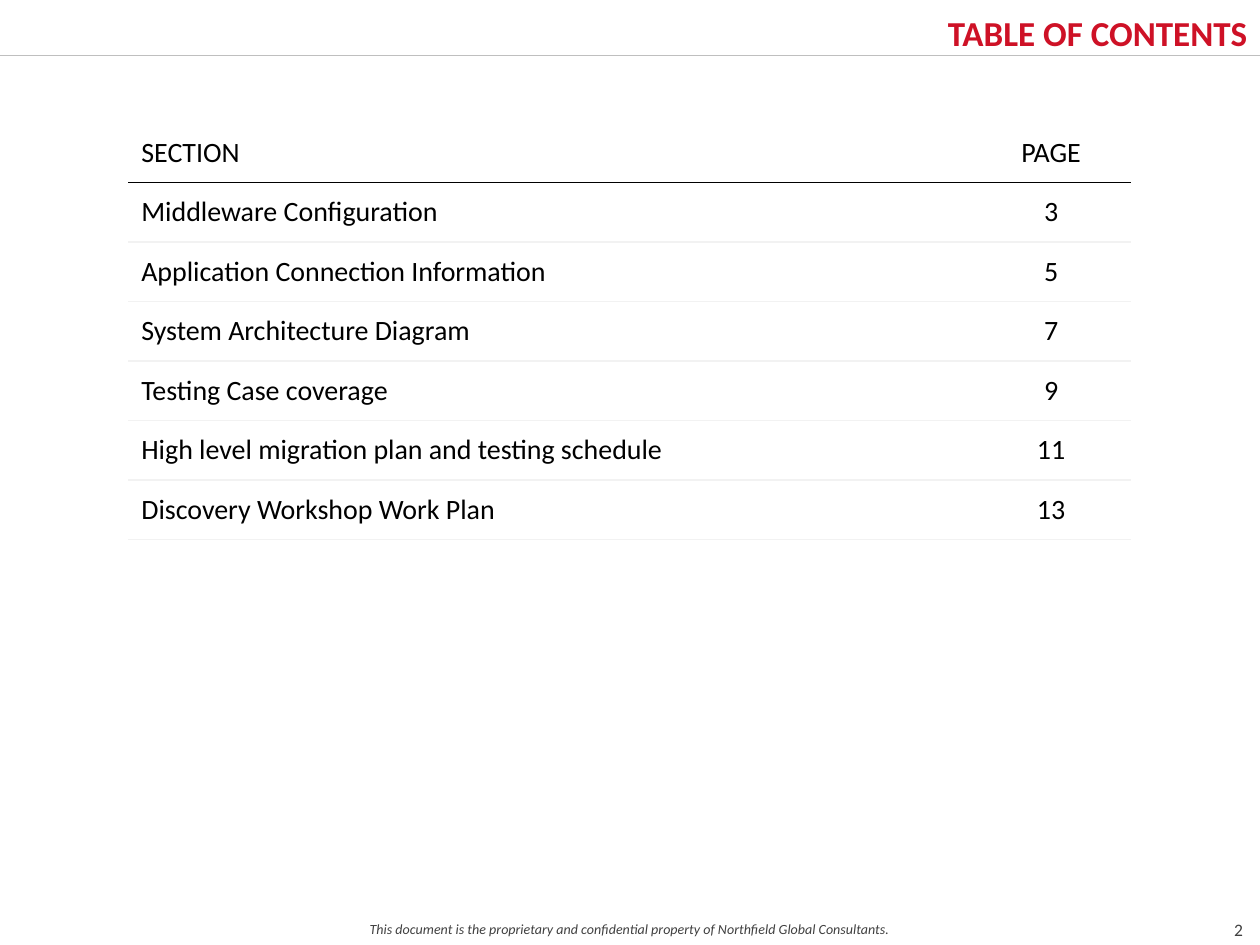
from dataclasses import dataclass

from lxml.etree import SubElement
from pptx import Presentation
from pptx.dml.color import RGBColor
from pptx.enum.shapes import MSO_CONNECTOR
from pptx.enum.text import MSO_ANCHOR, PP_ALIGN
from pptx.oxml.ns import qn
from pptx.util import Pt

BLACK = RGBColor(0x00, 0x00, 0x00)
RED = RGBColor(0xCE, 0x11, 0x26)
DARK_GRAY = RGBColor(0x40, 0x40, 0x40)
RULE_GRAY = RGBColor(0xBF, 0xBF, 0xBF)
LIGHT_GRAY = RGBColor(0xF2, 0xF2, 0xF2)

FONT = "Calibri"
ROW_HEIGHT = 34
COLUMN_WIDTHS = (481.7, 90.7)


@dataclass(frozen=True)
class TextStyle:
    size: float
    color: RGBColor
    align: PP_ALIGN = PP_ALIGN.LEFT
    bold: bool = False
    italic: bool = False


@dataclass(frozen=True)
class Box:
    left: float
    top: float
    width: float
    height: float

    def lengths(self) -> tuple:
        return Pt(self.left), Pt(self.top), Pt(self.width), Pt(self.height)


@dataclass(frozen=True)
class Entry:
    section: str
    page: str


ENTRIES = (
    Entry("SECTION", "PAGE"),
    Entry("Middleware Configuration", "3"),
    Entry("Application Connection Information", "5"),
    Entry("System Architecture Diagram", "7"),
    Entry("Testing Case coverage", "9"),
    Entry("High level migration plan and testing schedule", "11"),
    Entry("Discovery Workshop Work Plan", "13"),
)


def write(frame, text: str, style: TextStyle) -> None:
    para = frame.paragraphs[0]
    para.alignment = style.align
    span = para.add_run()
    span.text = text
    font = span.font
    font.name = FONT
    font.size = Pt(style.size)
    font.bold = style.bold
    font.italic = style.italic
    font.color.rgb = style.color


def set_insets(frame, left: float, top: float, right: float, bottom: float) -> None:
    frame.margin_left, frame.margin_top = Pt(left), Pt(top)
    frame.margin_right, frame.margin_bottom = Pt(right), Pt(bottom)


def add_title(page, text: str) -> None:
    title = page.shapes.title
    title.left, title.top, title.width, title.height = Box(288.7, 1.4, 431.3, 30.2).lengths()
    frame = title.text_frame
    frame.vertical_anchor = MSO_ANCHOR.TOP
    set_insets(frame, 0, 5, 7.2, 5)
    write(frame, text, TextStyle(20, RED, PP_ALIGN.RIGHT, bold=True))


def add_text(page, box: Box, text: str, style: TextStyle, anchor: MSO_ANCHOR) -> None:
    frame = page.shapes.add_textbox(*box.lengths()).text_frame
    frame.word_wrap = True
    frame.vertical_anchor = anchor
    set_insets(frame, 7.9, 3.6, 7.9, 3.6)
    write(frame, text, style)


def add_rule(page, top: float) -> None:
    rule = page.shapes.add_connector(MSO_CONNECTOR.STRAIGHT, 0, Pt(top), Pt(720), Pt(top))
    rule.line.color.rgb = RULE_GRAY
    rule.line.width = Pt(0.5)
    SubElement(rule.element.spPr, qn("a:effectLst"))


def add_border(cell, side: str, color: RGBColor) -> None:
    border = SubElement(cell._tc.get_or_add_tcPr(), qn(f"a:{side}"), w=str(Pt(1)))
    fill = SubElement(border, qn("a:solidFill"))
    SubElement(fill, qn("a:srgbClr"), val=str(color))


def add_contents(page, entries: tuple[Entry, ...]) -> None:
    box = Box(73.6, 70.4, sum(COLUMN_WIDTHS), ROW_HEIGHT * len(entries))
    table = page.shapes.add_table(len(entries), len(COLUMN_WIDTHS), *box.lengths()).table
    table.first_row = False
    table.horz_banding = False
    for column, width in zip(table.columns, COLUMN_WIDTHS):
        column.width = Pt(width)
    for index, entry in enumerate(entries):
        table.rows[index].height = Pt(ROW_HEIGHT)
        columns = ((entry.section, PP_ALIGN.LEFT), (entry.page, PP_ALIGN.CENTER))
        for cell, (text, align) in zip(table.rows[index].cells, columns):
            set_insets(cell, 7.2, 7.2, 7.2, 7.2)
            write(cell.text_frame, text, TextStyle(16, BLACK, align))
            if index > 0:
                add_border(cell, "lnT", BLACK if index == 1 else LIGHT_GRAY)
            add_border(cell, "lnB", BLACK if index == 0 else LIGHT_GRAY)
            cell.fill.background()


def main() -> None:
    deck = Presentation()
    deck.slide_width, deck.slide_height = Pt(720), Pt(540)
    page = deck.slides.add_slide(deck.slide_layouts[5])
    add_text(
        page,
        Box(0, 522.7, 720, 17.3),
        "This document is the proprietary and confidential property of Northfield Global Consultants.",
        TextStyle(8, DARK_GRAY, PP_ALIGN.CENTER, italic=True),
        MSO_ANCHOR.TOP,
    )
    add_text(
        page,
        Box(691.2, 515.5, 33.1, 31),
        "2",
        TextStyle(10, DARK_GRAY, PP_ALIGN.CENTER),
        MSO_ANCHOR.MIDDLE,
    )
    add_rule(page, 31.7)
    add_contents(page, ENTRIES)
    add_title(page, "TABLE OF CONTENTS")
    deck.save("out.pptx")


if __name__ == "__main__":
    main()
